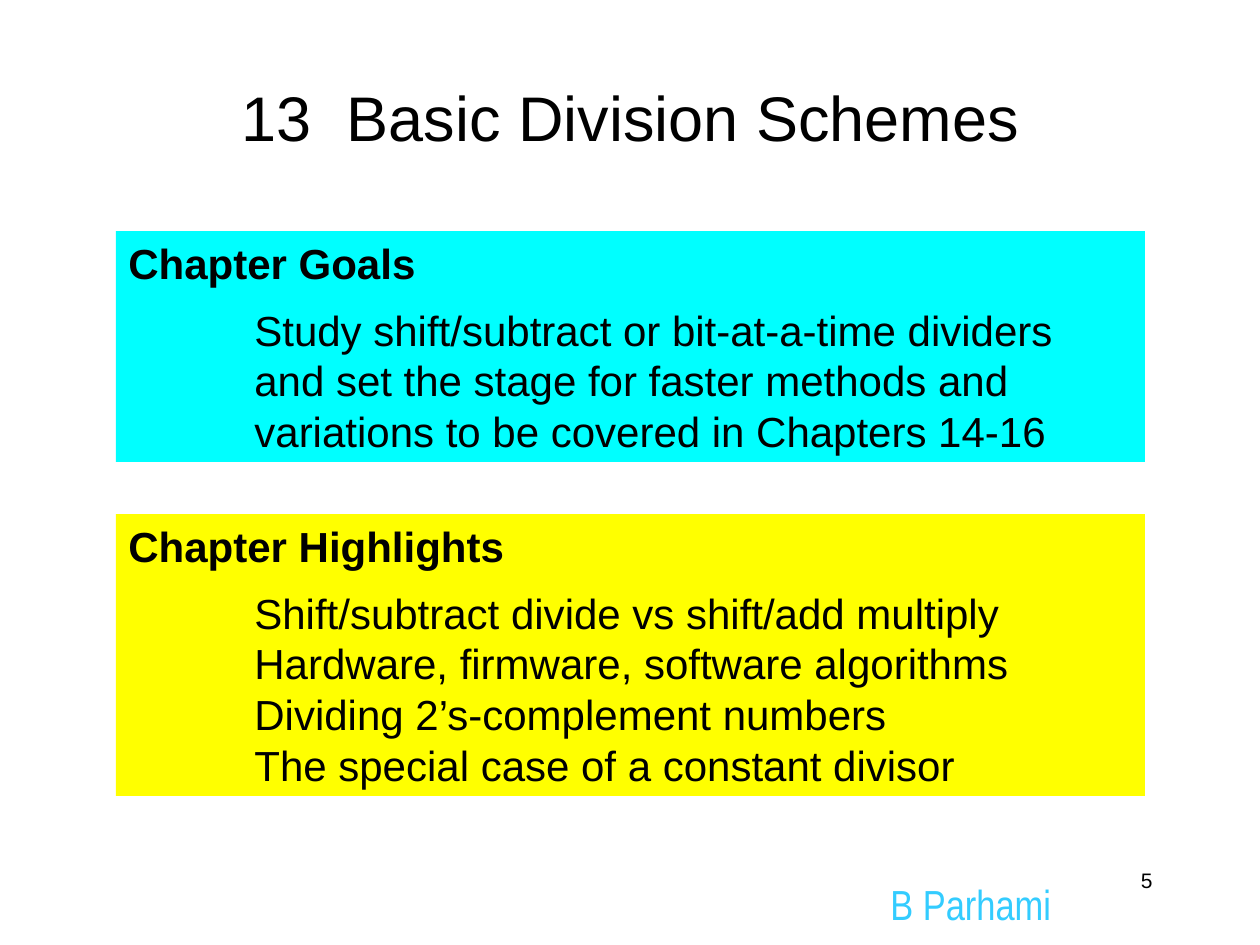
from dataclasses import dataclass

from pptx import Presentation
from pptx.dml.color import RGBColor
from pptx.enum.shapes import MSO_SHAPE
from pptx.enum.text import MSO_ANCHOR, PP_ALIGN
from pptx.util import Emu, Pt

RECTANGLE = MSO_SHAPE.RECTANGLE
TOP, MIDDLE = MSO_ANCHOR.TOP, MSO_ANCHOR.MIDDLE
LEFT, CENTER, RIGHT = PP_ALIGN.LEFT, PP_ALIGN.CENTER, PP_ALIGN.RIGHT

BLACK = RGBColor(0x00, 0x00, 0x00)
CYAN = RGBColor(0x00, 0xFF, 0xFF)
YELLOW = RGBColor(0xFF, 0xFF, 0x00)
SKY = RGBColor(0x33, 0xCC, 0xFF)

PX_PER_INCH = 126
BODY_INDENT = 126
PANEL_LEFT = 116
PANEL_WIDTH = 1029
BODY_SIZE = 24
BODY_PITCH = Pt(29)
HEADING_GAP = Pt(9)


@dataclass(frozen=True)
class Label:
    text: str
    left: int
    top: int
    width: int
    height: int
    size: int
    font: str = "Arial"
    color: RGBColor = BLACK
    align: PP_ALIGN = LEFT
    anchor: MSO_ANCHOR = TOP


@dataclass(frozen=True)
class Panel:
    heading: str
    body: tuple[str, ...]
    top: int
    height: int
    fill: RGBColor


LABELS = (
    Label("B Parhami", 878, 872, 240, 53, 24, "Arial Narrow", SKY),
    Label("13  Basic Division Schemes", 53, 53, 1155, 126, 36,
          align=CENTER, anchor=MIDDLE),
    Label("5", 903, 861, 262, 63, 12, align=RIGHT),
)

PANELS = (
    Panel("Chapter Goals",
          ("Study shift/subtract or bit-at-a-time dividers "
           "and set the stage for faster methods and "
           "variations to be covered in Chapters 14-16",),
          231, 231, CYAN),
    Panel("Chapter Highlights",
          ("Shift/subtract divide vs shift/add multiply",
           "Hardware, firmware, software algorithms",
           "Dividing 2’s-complement numbers",
           "The special case of a constant divisor"),
          514, 282, YELLOW),
)


def px(length: int) -> Emu:
    return Emu(round(length * 914400 / PX_PER_INCH))


def add_run(paragraph, text: str, size: int, font: str = "Arial",
            color: RGBColor = BLACK, bold: bool = False) -> None:
    run = paragraph.add_run()
    run.text = text
    run.font.name = font
    run.font.size = Pt(size)
    run.font.bold = bold
    run.font.color.rgb = color


def add_label(slide, label: Label) -> None:
    shape = slide.shapes.add_textbox(px(label.left), px(label.top),
                                     px(label.width), px(label.height))
    frame = shape.text_frame
    frame.word_wrap = True
    frame.vertical_anchor = label.anchor
    paragraph = frame.paragraphs[0]
    paragraph.alignment = label.align
    add_run(paragraph, label.text, label.size, label.font, label.color)


def add_panel(slide, panel: Panel) -> None:
    shape = slide.shapes.add_shape(RECTANGLE, px(PANEL_LEFT), px(panel.top),
                                   px(PANEL_WIDTH), px(panel.height))
    shape.shadow.inherit = False
    shape.fill.solid()
    shape.fill.fore_color.rgb = panel.fill
    shape.line.fill.background()
    frame = shape.text_frame
    frame.word_wrap = True
    frame.vertical_anchor = TOP
    heading = frame.paragraphs[0]
    heading.alignment = LEFT
    heading.line_spacing = BODY_PITCH
    add_run(heading, panel.heading, BODY_SIZE, bold=True)
    for index, text in enumerate(panel.body):
        paragraph = frame.add_paragraph()
        paragraph.alignment = LEFT
        paragraph.line_spacing = BODY_PITCH
        paragraph.space_before = HEADING_GAP if index == 0 else Pt(0)
        paragraph._p.get_or_add_pPr().set("marL", str(px(BODY_INDENT)))
        add_run(paragraph, text, BODY_SIZE)


def main() -> None:
    presentation = Presentation()
    presentation.slide_width = px(1260)
    presentation.slide_height = px(945)
    slide = presentation.slides.add_slide(presentation.slide_layouts[6])
    for label in LABELS:
        add_label(slide, label)
    for panel in PANELS:
        add_panel(slide, panel)
    presentation.save("out.pptx")


if __name__ == "__main__":
    main()
